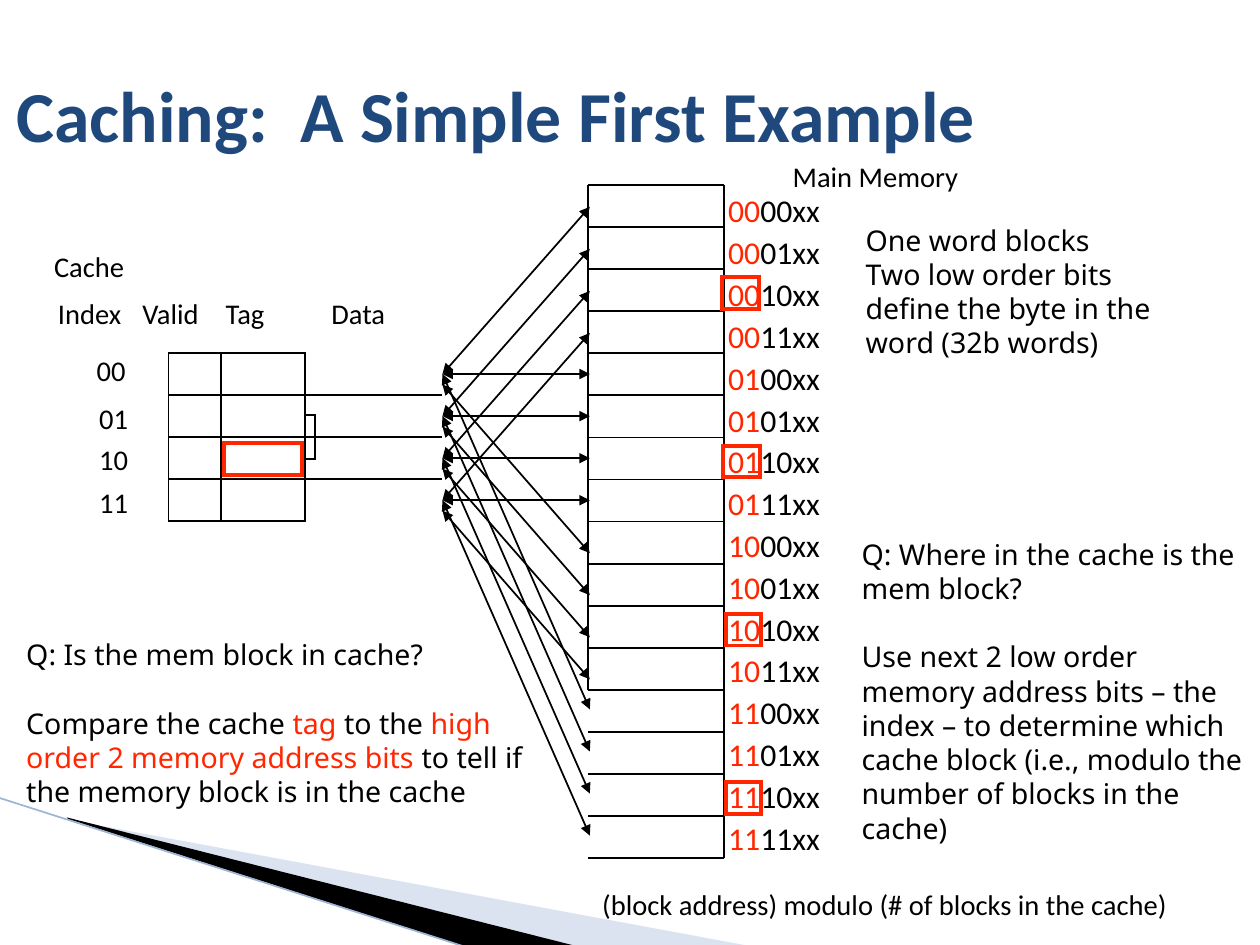
from dataclasses import dataclass

from lxml import etree
from pptx import Presentation
from pptx.dml.color import RGBColor
from pptx.enum.shapes import MSO_CONNECTOR, MSO_SHAPE
from pptx.enum.text import MSO_ANCHOR, MSO_AUTO_SIZE, PP_ALIGN
from pptx.oxml.ns import qn
from pptx.util import Cm, Pt

STRAIGHT = MSO_CONNECTOR.STRAIGHT
RECTANGLE = MSO_SHAPE.RECTANGLE
MIDDLE, TOP = MSO_ANCHOR.MIDDLE, MSO_ANCHOR.TOP
NO_FIT, GROW = MSO_AUTO_SIZE.NONE, MSO_AUTO_SIZE.SHAPE_TO_FIT_TEXT
LEFT = PP_ALIGN.LEFT
LEFT_SIDE, RIGHT_SIDE = 1, 3
TITLE_ONLY = 5


@dataclass(frozen=True)
class Theme:
    """Colours, fonts and sizes of the slide."""

    ink: str = "000000"
    red: str = "FF2600"
    title: str = "1F497D"
    pale_wedge: str = "A7B9DB"
    edge: str = "9EB3D6"
    label_font: str = "Calibri"
    prose_font: str = "Noto Sans"
    title_size: float = 41
    text_size: float = 16.3
    address_size: float = 18.1
    blank_line: float = 19.6
    thin: float = 1
    thick: float = 2.25
    inset: float = 0.1


THEME = Theme()
MEMORY_ROWS, CACHE_ROWS = 16, 4
MEMORY_LEFT, MEMORY_RIGHT, MEMORY_TOP, MEMORY_BOTTOM = 11.86, 14.6, 3.73, 17.3
PITCH = (MEMORY_BOTTOM - MEMORY_TOP) / MEMORY_ROWS
VALID_LEFT, TAG_LEFT, DATA_LEFT, DATA_RIGHT, CACHE_TOP = 3.4, 4.45, 6.15, 8.92, 7.11


def color(code):
    """Turn a hexadecimal code into a colour."""
    return RGBColor.from_string(code)


def prepare_frame(shape, wrap=True, anchor=TOP, fit=GROW):
    """Set the margins, wrapping and anchor of a shape's text."""
    frame = shape.text_frame
    frame.margin_left = frame.margin_right = Cm(THEME.inset)
    frame.margin_top = frame.margin_bottom = Cm(THEME.inset)
    frame.word_wrap, frame.vertical_anchor, frame.auto_size = wrap, anchor, fit
    return frame


def add_text(page, area, paragraphs, font=THEME.label_font, size=THEME.text_size,
             wrap=True, spacing=1.0):
    """Add a text box from paragraphs made of (text, colour) spans."""
    box = page.shapes.add_textbox(*map(Cm, area))
    frame = prepare_frame(box, wrap)
    for number, spans in enumerate(paragraphs):
        para = frame.add_paragraph() if number else frame.paragraphs[0]
        para.alignment, para.line_spacing = LEFT, spacing
        for text, code in spans:
            span = para.add_run()
            span.text = text
            span.font.name, span.font.size = font, Pt(size)
            span.font.color.rgb = color(code)
    return frame


def add_label(page, text, left, top, width):
    """Add a one-line label."""
    add_text(page, (left, top, width, 0.89), [[(text, THEME.ink)]], wrap=False)


def add_line(page, start, end, code=THEME.ink, width=THEME.thin):
    """Add a straight line without a shadow."""
    line = page.shapes.add_connector(STRAIGHT, *map(Cm, (*start, *end)))
    line.line.color.rgb, line.line.width = color(code), Pt(width)
    etree.SubElement(line._element.spPr, qn("a:effectLst"))
    return line


def add_double_arrow(page, start, end):
    """Add a line with a triangle at both ends."""
    outline = add_line(page, start, end).line._get_or_add_ln()
    for end_name in ("a:headEnd", "a:tailEnd"):
        etree.SubElement(outline, qn(end_name), type="triangle")


def add_outline(page, left, top, width, height, code=THEME.ink, weight=THEME.thin):
    """Add an unfilled rectangle with sharp corners."""
    box = page.shapes.add_shape(RECTANGLE, *map(Cm, (left, top, width, height)))
    box.shadow.inherit = False
    box.fill.background()
    box.line.color.rgb, box.line.width = color(code), Pt(weight)
    etree.SubElement(box.line._get_or_add_ln(), qn("a:miter"), lim="800000")
    return box


def add_wedge(page, points, code, alpha=None):
    """Add a filled corner wedge, optionally see-through."""
    corners = [(Cm(x), Cm(y)) for x, y in points]
    builder = page.shapes.build_freeform(*corners[0])
    builder.add_line_segments(corners[1:], close=True)
    wedge = builder.convert_to_shape()
    wedge.shadow.inherit = False
    wedge.fill.solid()
    wedge.fill.fore_color.rgb = color(code)
    wedge.line.fill.background()
    if alpha:
        paint = wedge._element.spPr.find(".//" + qn("a:srgbClr"))
        etree.SubElement(paint, qn("a:alpha"), val=str(alpha * 1000))


def add_row_lines(page, left, right):
    """Add the lines between cache rows and return the middle one."""
    heights = [CACHE_TOP + row * PITCH for row in range(1, CACHE_ROWS)]
    return [add_line(page, (left, y), (right, y)) for y in heights][1]


def add_cache_column(page, left, right):
    """Add a framed cache column divided into rows."""
    column = add_outline(page, left, CACHE_TOP, right - left, CACHE_ROWS * PITCH)
    middle = add_row_lines(page, left, right)
    middle.begin_connect(column, LEFT_SIDE)
    middle.end_connect(column, RIGHT_SIDE)
    return column


def add_title(page):
    """Fill and format the title placeholder."""
    title = page.shapes.title
    title.left, title.top, title.width, title.height = map(Cm, (0.23, 0.71, 24.94, 3.18))
    frame = prepare_frame(title, anchor=MIDDLE, fit=NO_FIT)
    frame.text = "Caching:  A Simple First Example"
    para = frame.paragraphs[0]
    para.alignment = LEFT
    font = para.runs[0].font
    font.name, font.size, font.bold = THEME.label_font, Pt(THEME.title_size), True
    font.color.rgb = color(THEME.title)


def add_backdrop(page):
    """Add the wedges in the lower left corner."""
    add_wedge(page, [(1.4, 16.53), (15.11, 19.07), (11.58, 19.07), (1.4, 16.51)],
              THEME.pale_wedge, 40)
    add_wedge(page, [(1.35, 16.48), (11.61, 19.07), (9.45, 19.1), (1.37, 16.51)], THEME.ink)
    add_line(page, (-0.03, 16.08), (9.42, 19.1), THEME.edge, 0.95)


def add_cache(page):
    """Add the cache table with its labels."""
    add_outline(page, DATA_LEFT, 8.36, 0.2, 0.89)
    add_cache_column(page, VALID_LEFT, TAG_LEFT)
    tag_column = add_cache_column(page, TAG_LEFT, DATA_LEFT)
    add_row_lines(page, DATA_LEFT, DATA_RIGHT).begin_connect(tag_column, RIGHT_SIDE)
    add_label(page, "Cache", 0.99, 4.93, 1.75)
    for text, left, width in (("Index", 1.07, 1.62), ("Valid", 2.77, 1.47),
                              ("Tag", 4.45, 1.11), ("Data", 6.58, 1.42)):
        add_label(page, text, left, 5.87, width)
    for index, (left, top) in enumerate(((1.85, 7.01), (1.9, 7.98), (1.9, 8.81), (1.9, 9.68))):
        add_label(page, f"{index:02b}", left, top, 0.91)


def add_memory(page):
    """Add the main memory table with its addresses."""
    for row in range(MEMORY_ROWS + 1):
        y = MEMORY_TOP + row * PITCH
        add_line(page, (MEMORY_LEFT, y), (MEMORY_RIGHT, y))
    add_line(page, (MEMORY_LEFT, MEMORY_TOP), (MEMORY_LEFT, MEMORY_TOP + 12 * PITCH))
    add_line(page, (MEMORY_RIGHT, MEMORY_TOP), (MEMORY_RIGHT, MEMORY_BOTTOM))
    add_label(page, "Main Memory", 15.88, 3.1, 3.7)
    addresses = [f"{row:04b}xx" for row in range(MEMORY_ROWS)]
    add_text(page, (14.58, 3.68, 3.18, 13.84),
             [[(text[:2], THEME.red), (text[2:], THEME.ink)] for text in addresses],
             size=THEME.address_size, spacing=1.1)


def add_mapping(page):
    """Add the arrows that join memory blocks to cache rows."""
    for memory_y, cache_y in ((4.17, 7.54), (7.54, 7.54), (11.15, 7.75), (14.3, 7.54)):
        for row in range(CACHE_ROWS):
            drop = row * PITCH
            add_double_arrow(page, (11.89, memory_y + drop), (DATA_RIGHT, cache_y + drop))


def add_explanations(page):
    """Add the questions and explanations around the tables."""
    ink, red = THEME.ink, THEME.red
    where = add_text(page, (17.27, 10.72, 8.08, 5.79), [
        [("Q: Where in the cache is the mem block?", ink)],
        [("Use next 2 low order memory address bits – the index – to determine which "
          "cache block (i.e., modulo the number of blocks in the cache)", ink)],
    ], THEME.prose_font)
    present = add_text(page, (0.43, 12.75, 10.34, 3.68), [
        [("Q: Is the mem block in cache?", ink)],
        [("Compare the cache ", ink), ("tag ", red), ("to the ", ink),
         ("high order 2 memory address bits ", red),
         ("to tell if the memory block is in the cache", ink)],
    ], THEME.prose_font)
    for frame in (where, present):
        frame.paragraphs[1].space_before = Pt(THEME.blank_line)
    add_text(page, (17.35, 4.39, 7.01, 3), [
        [("One word blocks", ink)],
        [("Two low order bits define the byte in the word (32b words)", ink)],
    ], THEME.prose_font)
    add_text(page, (12.04, 17.78, 12.93, 0.89),
             [[("(block address) modulo (# of blocks in the cache)", ink)]])


def add_highlights(page):
    """Frame the tag cell and the matching address bits in red."""
    add_outline(page, 4.52, 8.94, 1.57, 0.64, THEME.red, THEME.thick)
    for number, (left, width) in enumerate(((14.55, 0.76), (14.58, 0.74),
                                            (14.63, 0.71), (14.63, 0.71))):
        top = 5.59 + number * CACHE_ROWS * PITCH
        add_outline(page, left, top, width, 0.64, THEME.red, THEME.thick)


def main():
    """Build and save the deck."""
    deck = Presentation()
    deck.slide_width, deck.slide_height = Cm(25.4), Cm(19.05)
    page = deck.slides.add_slide(deck.slide_layouts[TITLE_ONLY])
    add_backdrop(page)
    add_title(page)
    add_cache(page)
    add_memory(page)
    add_mapping(page)
    add_explanations(page)
    add_highlights(page)
    deck.save("out.pptx")


if __name__ == "__main__":
    main()
